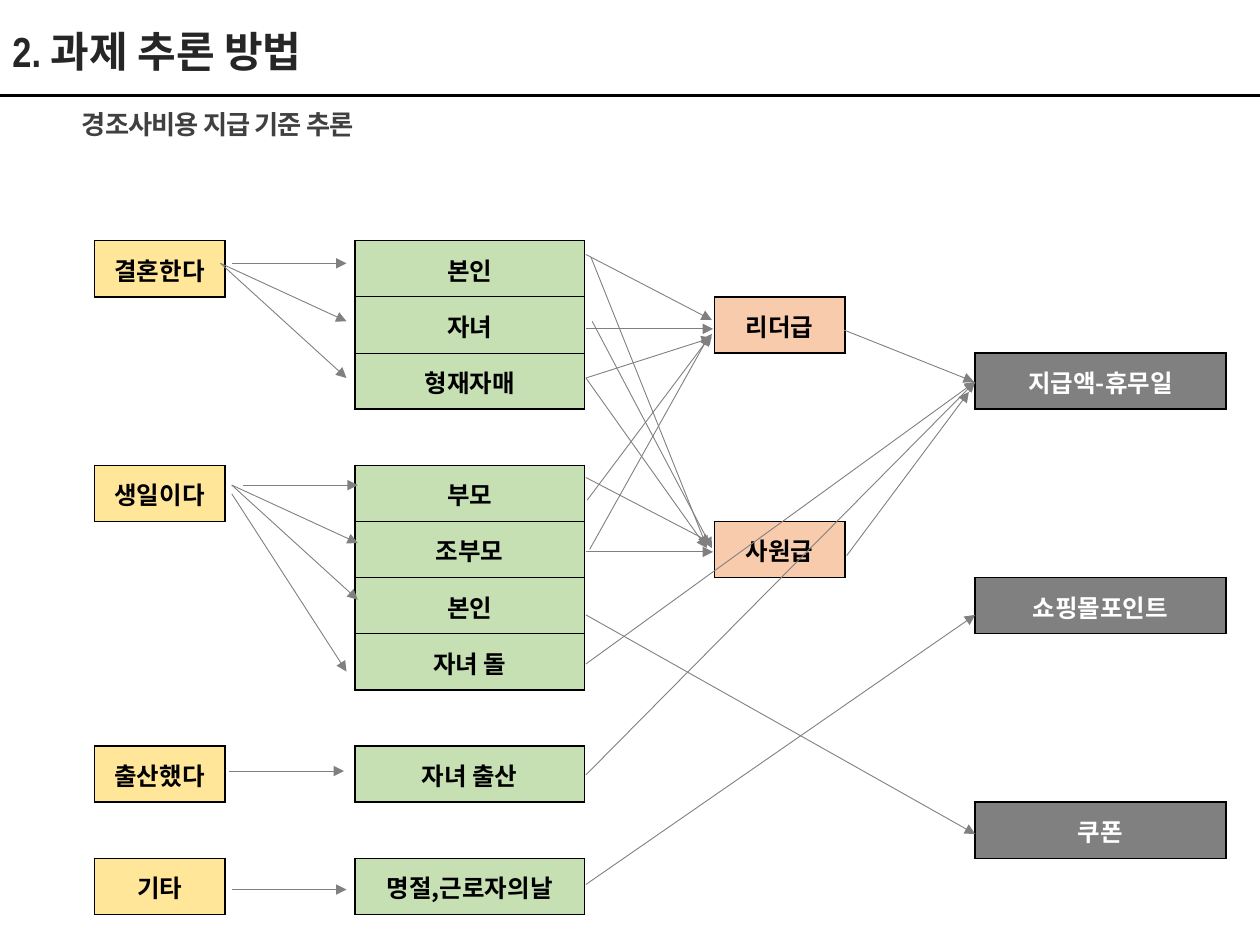
from dataclasses import dataclass
from typing import NamedTuple

from lxml import etree
from pptx import Presentation
from pptx.dml.color import RGBColor
from pptx.enum.shapes import MSO_CONNECTOR as Connector
from pptx.enum.text import MSO_ANCHOR as Anchor, PP_ALIGN as Align
from pptx.oxml.ns import qn
from pptx.util import Inches, Pt


@dataclass(frozen=True)
class Theme:
    """Colours, fonts and type sizes of the slide."""
    ink: str = "000000"
    title: str = "262626"
    subtitle: str = "404040"
    arrow: str = "808080"
    event: str = "FFE699"
    target: str = "C6E0B4"
    rank: str = "F8CBAD"
    benefit: str = "808080"
    white: str = "FFFFFF"
    title_font: str = "Arial Narrow"
    subtitle_font: str = "Arial"
    cell_font: str = "Noto Sans CJK KR"
    title_size: int = 24
    subtitle_size: int = 15
    cell_size: int = 14


class Box(NamedTuple):
    """Left, top, width and height in inches."""
    left: float
    top: float
    width: float
    height: float

    def emu(self):
        """Return the four lengths as slide units."""
        return [Inches(length) for length in self]


THEME = Theme()
SLIDE = Box(0, 0, 10, 7.5)
ROWS = 12
EVENT, TARGET, RANK, BENEFIT = 0, 2, 4, 6
TARGET_WIDTH, BENEFIT_WIDTH = 1.82, 1.99

# Column: (fill, text colour, {row: label})
FLOW = {
    EVENT: (THEME.event, THEME.ink,
            {0: "결혼한다", 4: "생일이다", 9: "출산했다", 11: "기타"}),
    TARGET: (THEME.target, THEME.ink,
             {0: "본인", 1: "자녀", 2: "형재자매", 4: "부모", 5: "조부모",
              6: "본인", 7: "자녀 돌", 9: "자녀 출산", 11: "명절,근로자의날"}),
    RANK: (THEME.rank, THEME.ink, {1: "리더급", 5: "사원급"}),
    BENEFIT: (THEME.benefit, THEME.white,
              {2: "지급액-휴무일", 6: "쇼핑몰포인트", 10: "쿠폰"}),
}

# Start x, start y, end x, end y in inches on the slide
EVENT_ARROWS = [
    (1.84, 2.09, 2.75, 2.09), (1.75, 2.09, 2.75, 2.55), (1.75, 2.09, 2.75, 3),
    (1.93, 3.85, 2.84, 3.85), (1.84, 3.85, 2.84, 4.31),
    (1.84, 3.85, 2.84, 4.76), (1.84, 3.92, 2.75, 5.33),
    (1.82, 6.12, 2.73, 6.12), (1.84, 7.06, 2.75, 7.06),
]
RANK_ARROWS = [
    (4.65, 3, 5.65, 2.68), (4.65, 2.02, 5.65, 2.54), (4.65, 2.61, 5.66, 2.61),
    (4.65, 3.79, 5.65, 4.31), (4.65, 4.38, 5.66, 4.38),
    (4.69, 2.04, 5.61, 4.34), (4.7, 2.55, 5.65, 4.35), (4.65, 3, 5.61, 4.35),
    (4.68, 4.36, 5.63, 2.66), (4.66, 3.97, 5.65, 2.65),
]
BENEFIT_ARROWS = [
    (4.65, 4.88, 7.74, 6.62), (4.65, 5.27, 7.74, 3.03),
    (4.65, 7.02, 7.74, 4.88), (4.65, 6.15, 7.74, 3.03),
    (6.7, 2.62, 7.73, 3.03), (6.72, 4.41, 7.69, 3.11),
]


def style_font(font, name, size, color):
    """Apply a bold face, size and colour."""
    font.name, font.size, font.bold = name, Pt(size), True
    font.color.rgb = RGBColor.from_string(color)


def add_line(page, box, ends, color, width, arrow=False):
    """Draw a line, or an arrow, between two points measured from the box."""
    x1, y1, x2, y2 = ends
    line = page.shapes.add_connector(
        Connector.STRAIGHT, Inches(box.left + x1), Inches(box.top + y1),
        Inches(box.left + x2), Inches(box.top + y2))
    line.line.color.rgb = RGBColor.from_string(color)
    line.line.width = Pt(width)
    props = line._element.spPr
    if arrow:
        etree.SubElement(props.find(qn("a:ln")), qn("a:tailEnd"), type="triangle")
    etree.SubElement(props, qn("a:effectLst"))


def add_title(page, box):
    """Place the slide title in the box."""
    frame = page.shapes.add_textbox(*box.emu()).text_frame
    frame.word_wrap = True
    para = frame.paragraphs[0]
    para.text, para.line_spacing = "2. 과제 추론 방법", 1.2
    style_font(para.font, THEME.title_font, THEME.title_size, THEME.title)


def add_subtitle(page, box):
    """Place the slightly tightened subtitle in the box."""
    frame = page.shapes.add_textbox(*box.emu()).text_frame
    frame.margin_left = frame.margin_right = 0
    frame.margin_top = frame.margin_bottom = 0
    frame.vertical_anchor, frame.word_wrap = Anchor.MIDDLE, True
    para = frame.paragraphs[0]
    para.text = "경조사비용 지급 기준 추론"
    style_font(para.font, THEME.subtitle_font, THEME.subtitle_size, THEME.subtitle)
    para.runs[0]._r.get_or_add_rPr().set("spc", "-50")


def set_borders(cell, widths):
    """Give a cell solid edges; widths maps an edge letter to points."""
    props = cell._tc.get_or_add_tcPr()
    for place, edge in enumerate("LRTB"):
        line = etree.Element(qn(f"a:ln{edge}"), w=str(Pt(widths[edge])))
        fill = etree.SubElement(line, qn("a:solidFill"))
        etree.SubElement(fill, qn("a:srgbClr"), val=THEME.ink)
        props.insert(place, line)


def add_flow_table(page, box):
    """Build the flow table: labelled cells on a grid of empty ones."""
    table = page.shapes.add_table(ROWS, 7, *box.emu()).table
    table.first_row = table.horz_banding = False
    table._tbl.tblPr.find(qn("a:tableStyleId")).text = (
        "{2D5ABB26-0587-4C30-8999-92F81FD0307C}")
    narrow = (box.width - TARGET_WIDTH - BENEFIT_WIDTH) / 5
    wide = {TARGET: TARGET_WIDTH, BENEFIT: BENEFIT_WIDTH}
    for index, column in enumerate(table.columns):
        column.width = Inches(wide.get(index, narrow))
    for row in table.rows:
        row.height = Inches(box.height / ROWS)
    for cell in table.iter_cells():
        cell.fill.background()
        cell.margin_left = cell.margin_right = cell.margin_top = Inches(0.01)
        cell.margin_bottom = 0
        cell.vertical_anchor = Anchor.MIDDLE
        cell.text_frame.paragraphs[0].font.size = Pt(THEME.cell_size)
    for column, (fill, color, labels) in FLOW.items():
        for row, label in labels.items():
            cell = table.cell(row, column)
            cell.fill.solid()
            cell.fill.fore_color.rgb = RGBColor.from_string(fill)
            para = cell.text_frame.paragraphs[0]
            para.text, para.alignment = label, Align.CENTER
            style_font(para.font, THEME.cell_font, THEME.cell_size, color)
            set_borders(cell, {"L": 1, "R": 1,
                               "T": 0.5 if row - 1 in labels else 1,
                               "B": 0.5 if row + 1 in labels else 1})


def add_arrows(page, box):
    """Draw the arrows between the columns, measured from the box."""
    for ends in EVENT_ARROWS + RANK_ARROWS + BENEFIT_ARROWS:
        add_line(page, box, ends, THEME.arrow, 0.5, arrow=True)


def main():
    """Build and save the slide."""
    deck = Presentation()
    deck.slide_width, deck.slide_height = Inches(SLIDE.width), Inches(SLIDE.height)
    page = deck.slides.add_slide(deck.slide_layouts[6])
    add_line(page, SLIDE, (0, 0.76, SLIDE.width, 0.76), THEME.ink, 1.5)
    add_flow_table(page, Box(0.75, 1.91, 8.98, 5.35))
    add_title(page, Box(0, 0.07, 8.33, 0.59))
    add_subtitle(page, Box(0.65, 0.86, 2.44, 0.25))
    add_arrows(page, SLIDE)
    deck.save("out.pptx")


main()
